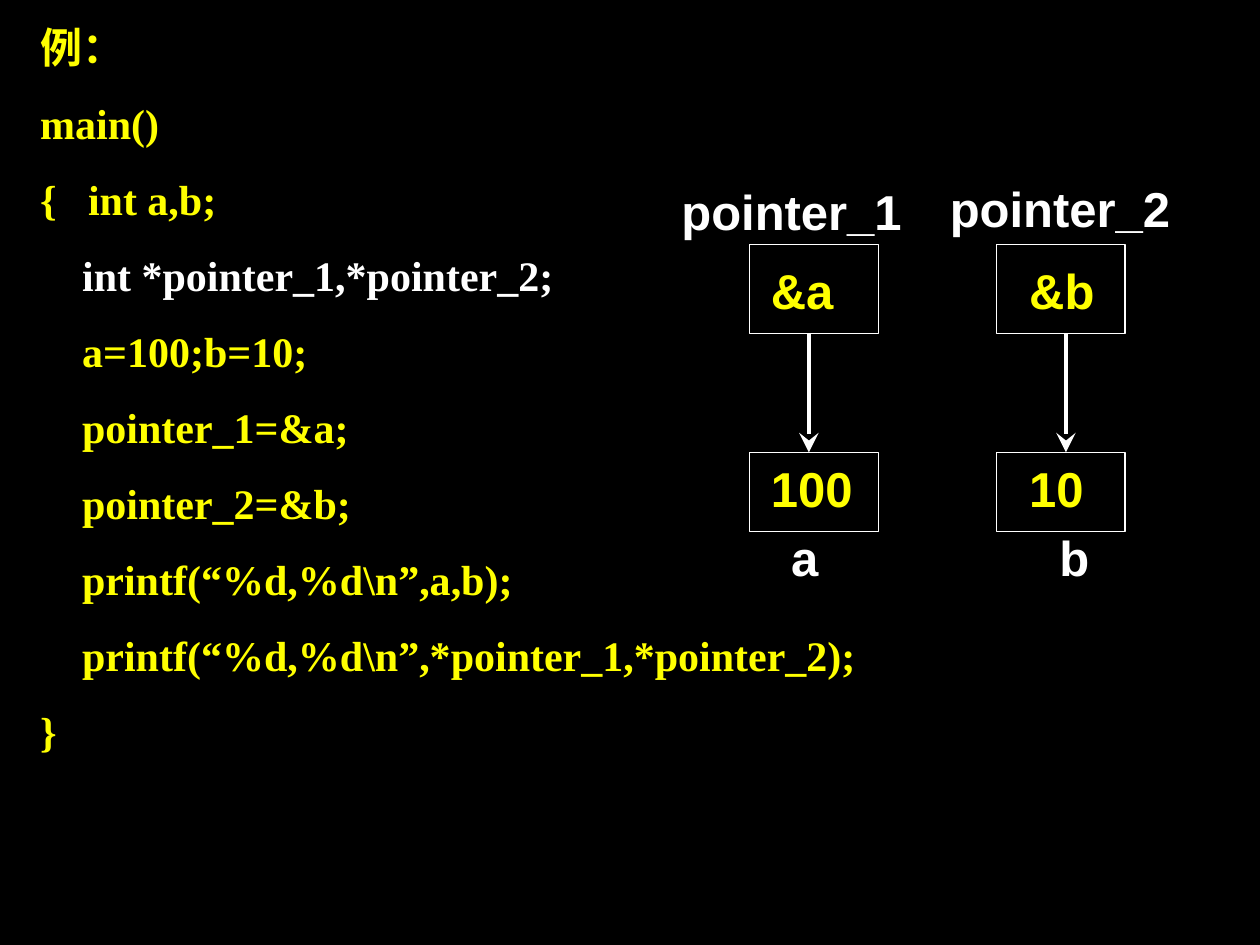
"""Build a slide that shows a C pointer example beside its memory diagram."""
from lxml import etree
from pptx import Presentation
from pptx.dml.color import RGBColor
from pptx.enum.shapes import MSO_CONNECTOR, MSO_SHAPE
from pptx.oxml.ns import qn
from pptx.util import Inches, Pt

RECT = MSO_SHAPE.RECTANGLE
STRAIGHT = MSO_CONNECTOR.STRAIGHT
BLACK, WHITE, YELLOW = "000000", "FFFFFF", "FFFF00"


def paint(color_format, value):
    color_format.rgb = RGBColor.from_string(value)


def add_text(left, top, width, height, lines, size, font, color):
    tf = s.shapes.add_textbox(Inches(left), Inches(top), Inches(width), Inches(height)).text_frame
    tf.word_wrap = True
    tf.text = "\n".join(lines)
    for p in tf.paragraphs:
        for r in p.runs:
            r.font.size = Pt(size)
            r.font.bold = True
            r.font.name = font
            paint(r.font.color, color)
    return tf


prs = Presentation()
prs.slide_width, prs.slide_height = Inches(10), Inches(7.5)
s = prs.slides.add_slide(prs.slide_layouts[6])
s.background.fill.solid()
paint(s.background.fill.fore_color, BLACK)

code = [
    "例：",
    "main()",
    "{\tint a,b;",
    "int *pointer_1,*pointer_2;",
    "a=100;b=10;",
    "pointer_1=&a;",
    "pointer_2=&b;",
    "printf(“%d,%d\\n”,a,b);",
    "printf(“%d,%d\\n”,*pointer_1,*pointer_2);",
    "}",
]
DECLARATION = 3
tf = add_text(0.22, 0, 7.12, 6.19, code, 24, "Times New Roman", YELLOW)
for i, p in enumerate(tf.paragraphs):
    p.line_spacing = 1.3
    p.space_before = Pt(6)
    pPr = p._p.get_or_add_pPr()
    if DECLARATION <= i < len(code) - 1:
        pPr.set("marL", str(Pt(24)))
    if "\t" in code[i]:
        tabs = etree.SubElement(pPr, qn("a:tabLst"))
        etree.SubElement(tabs, qn("a:tab"), pos=str(Inches(0.38)), algn="l")
paint(tf.paragraphs[DECLARATION].runs[0].font.color, WHITE)

columns = [
    (5.95, 6.42, [("pointer_1", 5.31, 1.39, 2.05, WHITE), ("&a", 6.02, 2.02, 0.87, YELLOW),
                  ("100", 6.02, 3.59, 0.87, YELLOW), ("a", 6.18, 4.14, 0.47, WHITE)]),
    (7.91, 8.46, [("pointer_2", 7.44, 1.37, 2.05, WHITE), ("&b", 8.07, 2.02, 0.87, YELLOW),
                  ("10", 8.07, 3.59, 0.71, YELLOW), ("b", 8.31, 4.14, 0.47, WHITE)]),
]
for box_left, arrow_x, labels in columns:
    for top, height in ((1.94, 0.71), (3.59, 0.63)):
        box = s.shapes.add_shape(RECT, Inches(box_left), Inches(top), Inches(1.02), Inches(height))
        box.shadow.inherit = False
        box.fill.background()
        paint(box.line.color, WHITE)
        box.line.width = Pt(0.74)

    arrow = s.shapes.add_connector(
        STRAIGHT, Inches(arrow_x), Inches(2.65), Inches(arrow_x), Inches(3.59))
    paint(arrow.line.color, WHITE)
    arrow.line.width = Pt(2.24)
    etree.SubElement(arrow.line._get_or_add_ln(), qn("a:tailEnd"), type="stealth", w="lg", len="lg")
    etree.SubElement(arrow._element.spPr, qn("a:effectLst"))

    for text, left, top, width, color in labels:
        add_text(left, top, width, 0.57, [text], 28, "Arial", color).word_wrap = False

prs.save("out.pptx")
